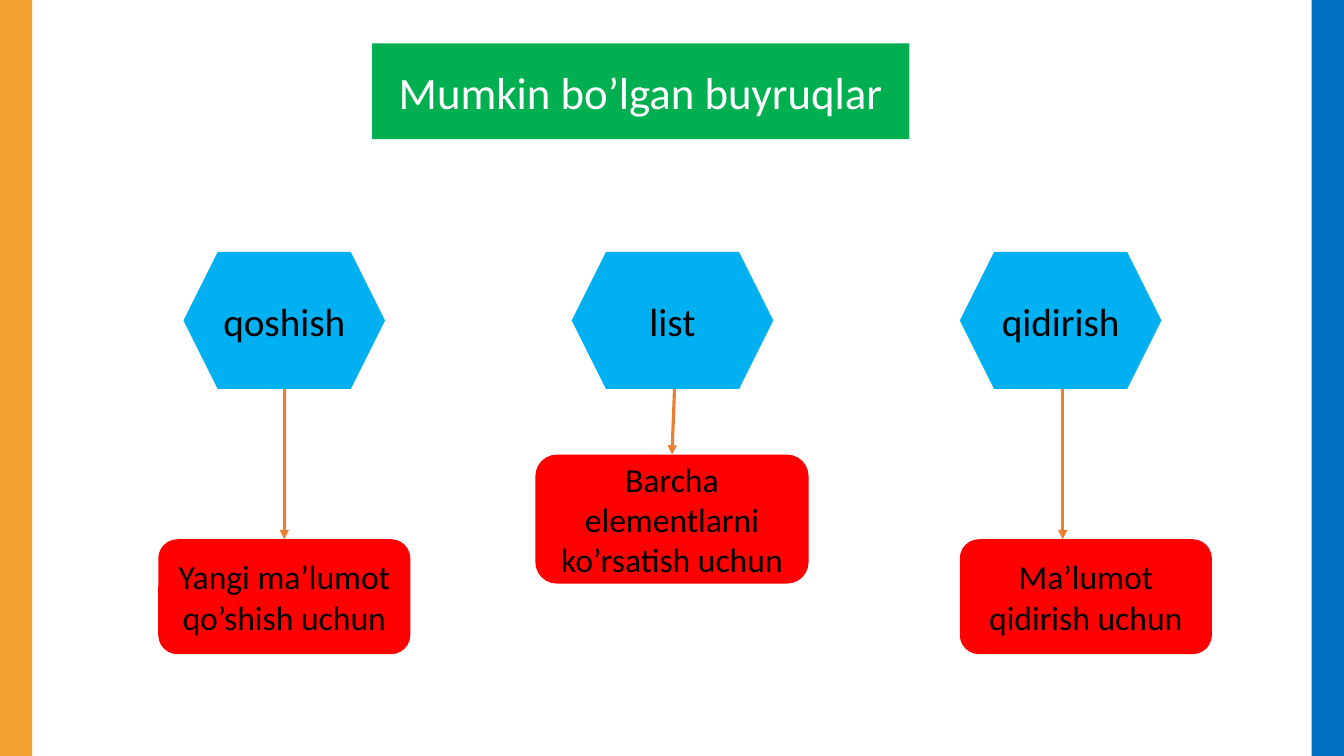
import pptx
import pptx.dml.color
import pptx.enum.shapes
import pptx.enum.text
import pptx.oxml
import pptx.oxml.ns
import pptx.util
from pptx.util import Inches

SHAPES = pptx.enum.shapes.MSO_SHAPE
ORANGE, BLUE, GREEN = "F2A130", "0070C0", "00B050"
SKY, RED, ARROW = "00B0F0", "FF0000", "ED7D31"
BLACK, WHITE = "000000", "FFFFFF"

SLIDE_WIDTH, SLIDE_HEIGHT = 13.33, 7.5
BAR_WIDTH = 0.32
TITLE_BOX = (3.69, 0.43, 5.33, 0.95)
COMMAND_LEFT, COMMAND_STEP = 1.82, 3.85
COMMAND_TOP, COMMAND_WIDTH, COMMAND_HEIGHT = 2.5, 2, 1.36

# command, its purpose, purpose box, arrow start and end x, whether the arrow joins the box
COMMANDS = [
    ("qoshish", "Yangi ma’lumot qo’shish uchun", (1.57, 5.35, 2.5, 1.14), 2.82, 2.82, True),
    ("list", "Barcha elementlarni ko’rsatish uchun", (5.31, 4.51, 2.71, 1.28), 6.69, 6.67, True),
    ("qidirish", "Ma’lumot qidirish uchun", (9.52, 5.35, 2.5, 1.14), 10.54, 10.54, False),
]


def color(hex_value):
    return pptx.dml.color.RGBColor.from_string(hex_value)


def paint(shape, hex_value):
    shape.fill.solid()
    shape.fill.fore_color.rgb = color(hex_value)
    shape.line.fill.background()


def write(shape, text, size, hex_value):
    frame = shape.text_frame
    frame.word_wrap = True
    frame.vertical_anchor = pptx.enum.text.MSO_ANCHOR.MIDDLE
    para = frame.paragraphs[0]
    para.alignment = pptx.enum.text.PP_ALIGN.CENTER
    span = para.add_run()
    span.text = text
    span.font.color.rgb = color(hex_value)
    formats = {"name": "Calibri", "size": pptx.util.Pt(size)}
    for name, value in formats.items():
        setattr(span.font, name, value)


def add_block(page, kind, box, fill):
    shape = page.shapes.add_shape(kind, *map(Inches, box))
    shape.shadow.inherit = False
    paint(shape, fill)
    return shape


def add_arrow(page, start, end):
    arrow = page.shapes.add_connector(
        pptx.enum.shapes.MSO_CONNECTOR.STRAIGHT, *map(Inches, start + end))
    arrow.line.color.rgb = color(ARROW)
    arrow.line.width = pptx.util.Pt(2.25)
    properties = arrow.element.spPr
    line = properties.find(pptx.oxml.ns.qn("a:ln"))
    line.append(pptx.oxml.parse_xml(
        f'<a:tailEnd {pptx.oxml.ns.nsdecls("a")} type="triangle"/>'))
    properties.append(pptx.oxml.parse_xml(
        f'<a:effectLst {pptx.oxml.ns.nsdecls("a")}/>'))
    return arrow


def add_side_bars(page):
    for left, fill in ((0, ORANGE), (SLIDE_WIDTH - BAR_WIDTH, BLUE)):
        add_block(page, SHAPES.RECTANGLE, (left, 0, BAR_WIDTH, SLIDE_HEIGHT), fill)


def add_title(page, box):
    """Turn the title placeholder into a rounded green banner."""
    title = page.shapes.title
    for name, value in zip(("left", "top", "width", "height"), box):
        setattr(title, name, Inches(value))
    title.element.spPr.insert(1, pptx.oxml.parse_xml(
        f'<a:prstGeom {pptx.oxml.ns.nsdecls("a")} prst="roundRect"><a:avLst/></a:prstGeom>'))
    paint(title, GREEN)
    write(title, "Mumkin bo’lgan buyruqlar", 32, WHITE)


def add_command(page, box, command, purpose, purpose_box, start_x, end_x, joined):
    """Place a command hexagon with an arrow down to its purpose."""
    left, top, width, height = box
    hexagon = add_block(page, SHAPES.HEXAGON, box, SKY)
    write(hexagon, command, 28, BLACK)
    result = add_block(page, SHAPES.ROUNDED_RECTANGLE, purpose_box, RED)
    write(result, purpose, 24, BLACK)
    arrow = add_arrow(page, (start_x, top + height), (end_x, purpose_box[1]))
    if joined:
        arrow.end_connect(result, 0)


def main():
    deck = pptx.Presentation()
    deck.slide_width = Inches(SLIDE_WIDTH)
    deck.slide_height = Inches(SLIDE_HEIGHT)
    page = deck.slides.add_slide(deck.slide_layouts.get_by_name("Title Only"))
    add_side_bars(page)
    add_title(page, TITLE_BOX)
    for index, entry in enumerate(COMMANDS):
        left = COMMAND_LEFT + index * COMMAND_STEP
        add_command(page, (left, COMMAND_TOP, COMMAND_WIDTH, COMMAND_HEIGHT), *entry)
    deck.save("out.pptx")


if __name__ == "__main__":
    main()
